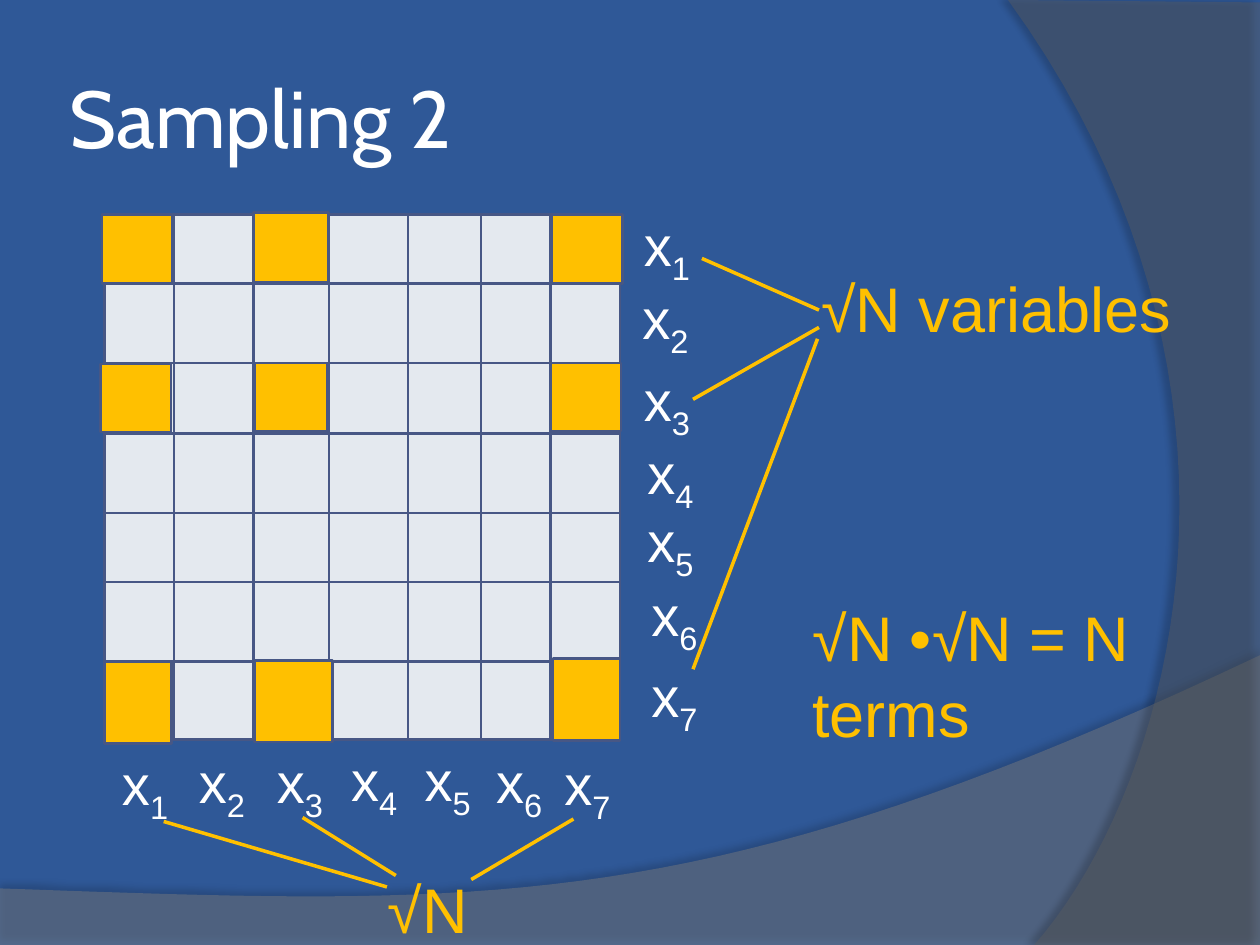
from dataclasses import dataclass

from lxml import etree
from pptx import Presentation
from pptx.dml.color import RGBColor
from pptx.enum import shapes, text
from pptx.oxml import ns
from pptx import util as u

COLORS = {
    "back": "2F5897", "white": "FFFFFF", "gold": "FFC000", "cell": "E4E9EF",
    "edge": "475785", "low": "7F7F7F", "side": "5E5E5E", "black": "000000",
}


@dataclass
class Box:
    x: float
    y: float
    w: float
    h: float

    def dims(self):
        return [u.Cm(v) for v in (self.x, self.y, self.w, self.h)]


@dataclass
class Wave:
    color: str
    alpha: int
    points: list    # straight corners, the curve starts at the last one
    curve: list     # two control points and the end
    shade: int
    dist: float
    angle: int


@dataclass
class Note:
    box: Box
    lines: list


def rgb(name: str) -> RGBColor:
    return RGBColor.from_string(COLORS[name])


def child(node, tag: str, **attrs):
    return etree.SubElement(node, ns.qn(tag), {k: str(v) for k, v in attrs.items()})


def bezier(start, one, two, end, steps: int = 40) -> list:
    dots = []
    for i in range(1, steps + 1):
        t = i / steps
        dots.append(tuple((1 - t) ** 3 * a + 3 * t * (1 - t) ** 2 * b
                          + 3 * t * t * (1 - t) * c + t ** 3 * d
                          for a, b, c, d in zip(start, one, two, end)))
    return dots


def add_wave(slide, wave: Wave) -> None:
    dots = wave.points + bezier(wave.points[-1], *wave.curve)
    dots = [(u.Cm(x), u.Cm(y)) for x, y in dots]
    pen = slide.shapes.build_freeform(*dots[0])
    pen.add_line_segments(dots[1:], close=True)
    shape = pen.convert_to_shape()
    shape.fill.solid()
    shape.fill.fore_color.rgb = rgb(wave.color)
    shape.line.fill.background()
    tint = shape.element.spPr.find(".//" + ns.qn("a:srgbClr"))
    child(tint, "a:alpha", val=wave.alpha * 1000)
    # Soft shadow along the edge
    shape.shadow.inherit = False
    effects = shape.element.spPr.find(ns.qn("a:effectLst"))
    shadow = child(effects, "a:outerShdw", blurRad=u.Pt(4), dist=u.Pt(wave.dist),
                   dir=wave.angle * 60000, algn="ctr", rotWithShape=0)
    shade = child(shadow, "a:srgbClr", val=COLORS["black"])
    child(shade, "a:alpha", val=wave.shade * 1000)


def add_rect(slide, box: Box, fill: str = "") -> None:
    rect = slide.shapes.add_shape(shapes.MSO_SHAPE.RECTANGLE, *box.dims())
    rect.shadow.inherit = False
    if fill:
        rect.fill.solid()
        rect.fill.fore_color.rgb = rgb(fill)
    else:
        rect.fill.background()
    rect.line.color.rgb = rgb("edge")
    rect.line.width = u.Pt(1.5)


def add_run(para, words: str, size: float, color: str, face: str = "Arial"):
    run = para.add_run()
    run.text = words
    run.font.size = u.Pt(size)
    run.font.name = face
    run.font.color.rgb = rgb(color)
    return run


def add_frame(slide, box: Box, wrap: bool):
    frame = slide.shapes.add_textbox(*box.dims()).text_frame
    frame.word_wrap = wrap
    frame.auto_size = text.MSO_AUTO_SIZE.SHAPE_TO_FIT_TEXT
    return frame


def add_label(slide, x: float, y: float, index: int) -> None:
    para = add_frame(slide, Box(x, y, 1.8, 1.63), True).paragraphs[0]
    add_run(para, "x", 32, "white")
    sub = add_run(para, str(index), 32, "white")
    sub.font._element.set("baseline", "-25000")


def add_note(slide, note: Note) -> None:
    frame = add_frame(slide, note.box, False)
    for i, line in enumerate(note.lines):
        para = frame.add_paragraph() if i else frame.paragraphs[0]
        add_run(para, line, 36, "gold")


def add_line(slide, ends: tuple) -> None:
    line = slide.shapes.add_connector(shapes.MSO_CONNECTOR.STRAIGHT,
                                      *[u.Cm(v) for v in ends])
    line.line.color.rgb = rgb("gold")
    line.line.width = u.Pt(2)
    child(line.element.spPr, "a:effectLst")


WAVES = [
    Wave("low", 45, [(0, 17.91), (0, 19.05), (25.4, 19.05), (25.4, 13.21)],
         [(14.2, 18.52), (9.93, 18.26), (0, 17.91)], 35, 3.5, 270),
    Wave("side", 40, [(25.4, 0.05), (25.4, 19.05), (20.85, 19.05)],
         [(23.75, 15.72), (25.86, 7.62), (20.32, 0)], 45, 4, 180),
]
# Grid edges
COLS = [2.11, 3.51, 5.11, 6.63, 8.23, 9.7, 11.1, 12.5]
ROWS = [4.32, 5.72, 7.32, 8.74, 10.34, 11.73, 13.34, 14.91]
PICKS = [
    Box(11.15, 13.28, 1.35, 1.65), Box(5.13, 13.31, 1.57, 1.65),
    Box(2.11, 13.34, 1.35, 1.65), Box(11.1, 7.32, 1.42, 1.37),
    Box(5.13, 7.32, 1.47, 1.37), Box(2.03, 7.34, 1.42, 1.37),
    Box(11.13, 4.32, 1.42, 1.4), Box(5.11, 4.29, 1.52, 1.4),
    Box(2.06, 4.32, 1.42, 1.4),
]
# Label corners beside and below the grid
SIDE = [(12.73, 4.11), (12.7, 5.59), (12.73, 7.24), (12.8, 8.71),
        (12.8, 10.08), (12.88, 11.58), (12.88, 13.21)]
BELOW = [(2.21, 14.99), (3.76, 14.94), (5.33, 14.94), (6.83, 14.91),
         (8.31, 14.91), (9.75, 14.94), (11.13, 14.99)]
NOTES = [
    Note(Box(16.31, 5.31, 7.62, 1.8), ["√N variables"]),
    Note(Box(7.57, 17.42, 2.13, 1.8), ["√N"]),
    Note(Box(16.13, 11.94, 7.11, 3.33), ["√N •√N = N", "terms"]),
]
LINES = [
    (14.15, 5.21, 16.51, 6.25), (13.97, 8.05, 16.51, 6.6),
    (16.48, 6.83, 13.97, 13.49), (3.3, 16.56, 7.8, 17.88),
    (6.1, 16.48, 7.98, 17.65), (11.56, 16.51, 9.5, 17.73),
]


def add_title(slide) -> None:
    title = slide.shapes.title
    title.left, title.top, title.width, title.height = Box(1.27, 0.76, 20.75, 3.18).dims()
    frame = title.text_frame
    frame.vertical_anchor = text.MSO_ANCHOR.MIDDLE
    frame.margin_left = frame.margin_right = u.Cm(0.13)
    frame.margin_top = frame.margin_bottom = u.Cm(0.13)
    para = frame.paragraphs[0]
    para.alignment = text.PP_ALIGN.LEFT
    add_run(para, "Sampling 2", 46, "white", "Cabin")


def add_grid(slide) -> None:
    wide, high = COLS[-1] - COLS[0], ROWS[-1] - ROWS[0]
    add_rect(slide, Box(COLS[0], ROWS[0], wide, high), "cell")
    for i in (1, 3, 5):
        add_rect(slide, Box(COLS[i], ROWS[0], COLS[i + 1] - COLS[i], high), "cell")
    for i in (1, 3, 5):
        add_rect(slide, Box(COLS[0], ROWS[i], wide, ROWS[i + 1] - ROWS[i]))


def main() -> None:
    deck = Presentation()
    deck.slide_width, deck.slide_height = u.Cm(25.4), u.Cm(19.05)
    slide = deck.slides.add_slide(deck.slide_layouts[5])
    slide.background.fill.solid()
    slide.background.fill.fore_color.rgb = rgb("back")

    # Backdrop and title
    for wave in WAVES:
        add_wave(slide, wave)
    add_title(slide)

    # Grid with sampled cells
    add_grid(slide)
    for box in PICKS:
        add_rect(slide, box, "gold")

    # Labels, notes and lines
    for spots in (SIDE, BELOW):
        for i, (x, y) in enumerate(spots, 1):
            add_label(slide, x, y, i)
    for note in NOTES:
        add_note(slide, note)
    for ends in LINES:
        add_line(slide, ends)

    deck.save("out.pptx")


if __name__ == "__main__":
    main()
